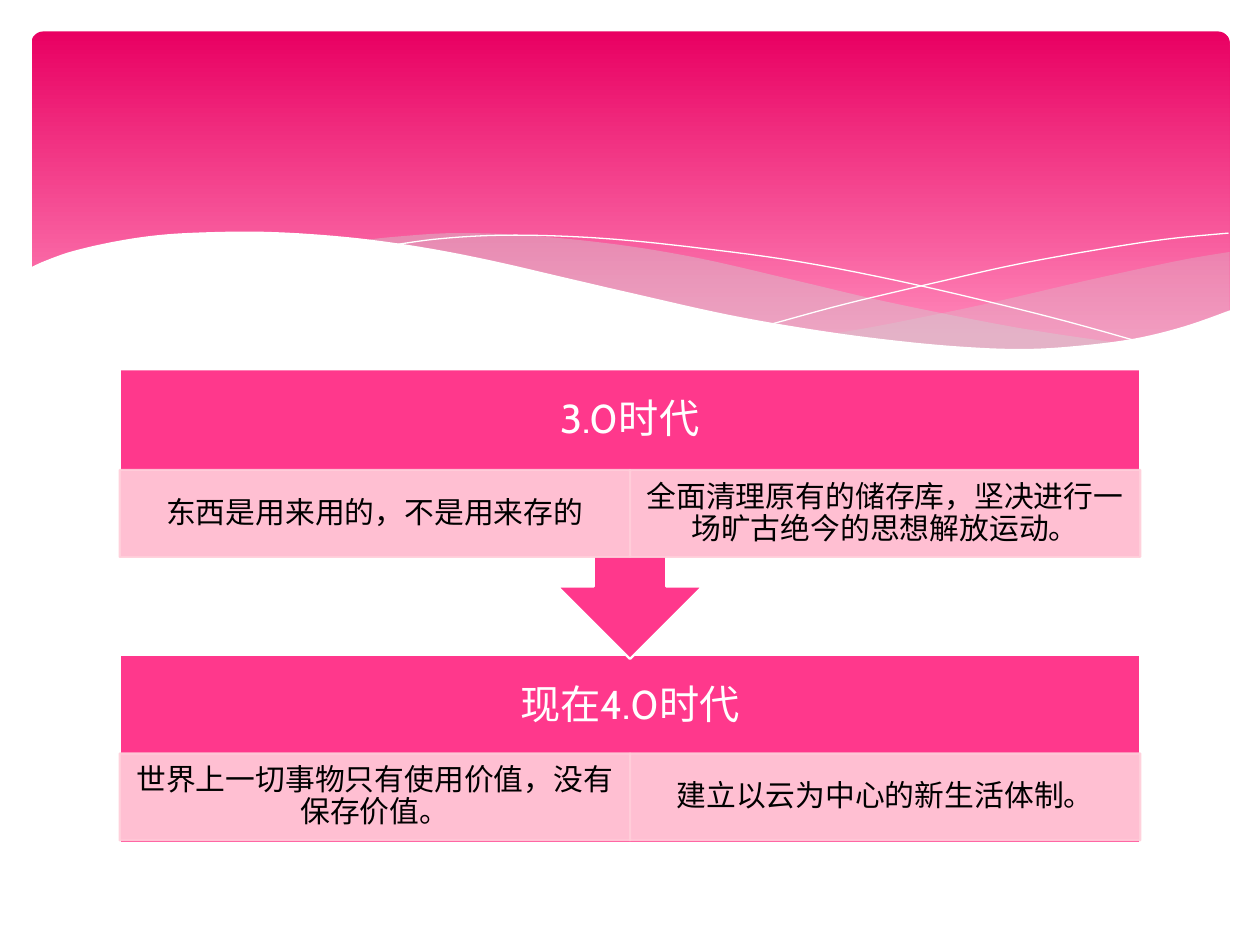
from pptx import Presentation
from pptx.dml.color import RGBColor
from pptx.enum.shapes import MSO_SHAPE
from pptx.enum.text import MSO_ANCHOR, PP_ALIGN
from pptx.oxml import parse_xml
from pptx.oxml.ns import nsdecls
from pptx.util import Inches, Pt

PINK, PALE, WHITE, BLACK, GREY = "FF388C", "FFCEDA", "FFFFFF", "000000", "D2D2D2"


def color(value):
    return RGBColor.from_string(value)


def paint(fill, value, opacity=100):
    fill.solid()
    fill.fore_color.rgb = color(value)
    if opacity < 100:
        for node in fill._xPr.iter("{*}srgbClr"):
            node.append(parse_xml(f'<a:alpha {nsdecls("a")} val="{opacity * 1000}"/>'))


def write(shape, text, size, ink, margins, font="Cabin"):
    frame = shape.text_frame
    frame.word_wrap = True
    frame.vertical_anchor = MSO_ANCHOR.MIDDLE
    frame.margin_left = frame.margin_right = Inches(margins[0])
    frame.margin_top = frame.margin_bottom = Inches(margins[1])
    paragraph = frame.paragraphs[0]
    paragraph.alignment = PP_ALIGN.CENTER
    paragraph.line_spacing = 0.9
    run = paragraph.add_run()
    run.text = text
    run.font.name = font
    run.font.size = Pt(size)
    run.font.color.rgb = color(ink)


def smooth(points, steps=6):
    padded = [points[0], *points, points[-1]]
    curve = []
    for a, b, c, d in zip(padded, padded[1:], padded[2:], padded[3:]):
        for step in range(steps):
            t = step / steps
            curve.append(tuple(
                (2 * q + (r - p) * t + (2 * p - 5 * q + 4 * r - s) * t ** 2
                 + (3 * q - p - 3 * r + s) * t ** 3) / 2
                for p, q, r, s in zip(a, b, c, d)))
    return curve + [points[-1]]


class Canvas:
    def __init__(self, presentation):
        self.slide = presentation.slides.add_slide(presentation.slide_layouts[6])
        self.shapes = self.slide.shapes

    def shape(self, kind, box, fill=None, line=None, opacity=100):
        shape = self.shapes.add_shape(kind, *map(Inches, box))
        return self.style(shape, fill, line, opacity)

    def style(self, shape, fill, line, opacity=100, width=1.25):
        shape.shadow.inherit = False
        if fill:
            paint(shape.fill, fill, opacity)
        else:
            shape.fill.background()
        if line:
            paint(shape.line.fill, line, opacity)
            shape.line.width = Pt(width)
        else:
            shape.line.fill.background()
        return shape

    def banner(self, box, top, bottom):
        shape = self.shape(MSO_SHAPE.ROUNDED_RECTANGLE, box)
        shape.adjustments[0] = 0.034
        shape.fill.gradient()
        shape.fill.gradient_angle = 270
        for stop, value, position in zip(shape.fill.gradient_stops, (top, bottom), (0, 0.9)):
            stop.color.rgb = color(value)
            stop.position = position

    def wave(self, *edges, fill=None, line=None, opacity=100):
        points = [(Inches(x), Inches(y)) for edge in edges for x, y in smooth(edge)]
        builder = self.shapes.build_freeform(*points[0])
        builder.add_line_segments(points[1:], close=bool(fill))
        return self.style(builder.convert_to_shape(), fill, line, opacity, width=0)

    def label(self, box, text):
        write(self.shapes.add_textbox(*map(Inches, box)), text, 23, WHITE, (0.18, 0.18))

    def cell(self, box, text):
        shape = self.shape(MSO_SHAPE.RECTANGLE, box, PALE, PALE, 90)
        write(shape, text, 17, BLACK, (0.13, 0.02))


presentation = Presentation()
presentation.slide_width = Inches(10)
presentation.slide_height = Inches(7.5)
canvas = Canvas(presentation)

canvas.banner((0.25, 0.25, 9.51, 2.7), "E90062", "FF88BA")
canvas.wave(
    [(9.76, 2), (9.35, 2.07), (8.61, 2.23), (7.79, 2.42), (7.06, 2.57), (6.61, 2.65)],
    [(6.61, 2.65), (7.19, 2.72), (7.69, 2.77), (8.14, 2.78), (8.63, 2.75),
     (9.05, 2.69), (9.42, 2.59), (9.76, 2.47)],
    fill=GREY, opacity=29)
canvas.wave(
    [(8.93, 2.73), (8.07, 2.6), (7.06, 2.4), (6.29, 2.22), (5.55, 2.05), (4.89, 1.94),
     (4.2, 1.87), (3.61, 1.85), (3.13, 1.88), (2.86, 1.91)],
    [(2.86, 1.91), (3.42, 1.99), (4.04, 2.11), (4.91, 2.32), (5.66, 2.48), (6.34, 2.61),
     (6.95, 2.7), (7.48, 2.76), (7.96, 2.78), (8.48, 2.77), (8.93, 2.73)],
    fill=GREY, opacity=40)
canvas.wave(
    [(3.09, 1.95), (3.44, 1.9), (3.87, 1.87), (4.33, 1.87), (4.89, 1.9), (5.56, 1.97),
     (6.36, 2.08), (7.27, 2.26), (8.31, 2.51), (9.07, 2.72)],
    line=WHITE)
canvas.wave(
    [(6.13, 2.57), (6.72, 2.41), (7.48, 2.23), (8.06, 2.1), (8.66, 1.99),
     (9.24, 1.9), (9.75, 1.85)],
    line=WHITE)
canvas.wave(
    [(9.77, 2.46), (9.4, 2.59), (8.99, 2.69), (8.5, 2.75), (8.09, 2.77), (7.61, 2.75),
     (7.08, 2.7), (6.48, 2.62), (5.79, 2.5), (5.03, 2.33), (4.47, 2.2), (3.91, 2.07),
     (3.4, 1.97), (2.92, 1.9), (2.5, 1.86), (2.11, 1.84), (1.77, 1.84), (1.32, 1.86),
     (0.95, 1.91), (0.59, 1.99), (0.36, 2.07), (0.23, 2.13)],
    [(0.23, 3.29), (9.77, 3.29)],
    fill=WHITE)

left, width, cell_height = 0.95, 8.1, 0.69
eras = [
    (MSO_SHAPE.RECTANGLE, 0, 5.2, 1.49, 5.98, "现在4.0时代",
     ("世界上一切事物只有使用价值，没有保存价值。", "建立以云为中心的新生活体制。")),
    (MSO_SHAPE.UP_ARROW_CALLOUT, 180, 2.93, 2.3, 3.73, "3.0时代",
     ("东西是用来用的，不是用来存的", "全面清理原有的储存库，坚决进行一场旷古绝今的思想解放运动。")),
]
for kind, rotation, top, height, cell_top, title, details in eras:
    block = canvas.shape(kind, (left, top, width, height), PINK, WHITE)
    block.rotation = rotation
    canvas.label((left, top, width, 0.81), title)
    cell_width = width / len(details)
    for column, detail in enumerate(details):
        canvas.cell((left + column * cell_width, cell_top, cell_width, cell_height), detail)

presentation.save("out.pptx")
